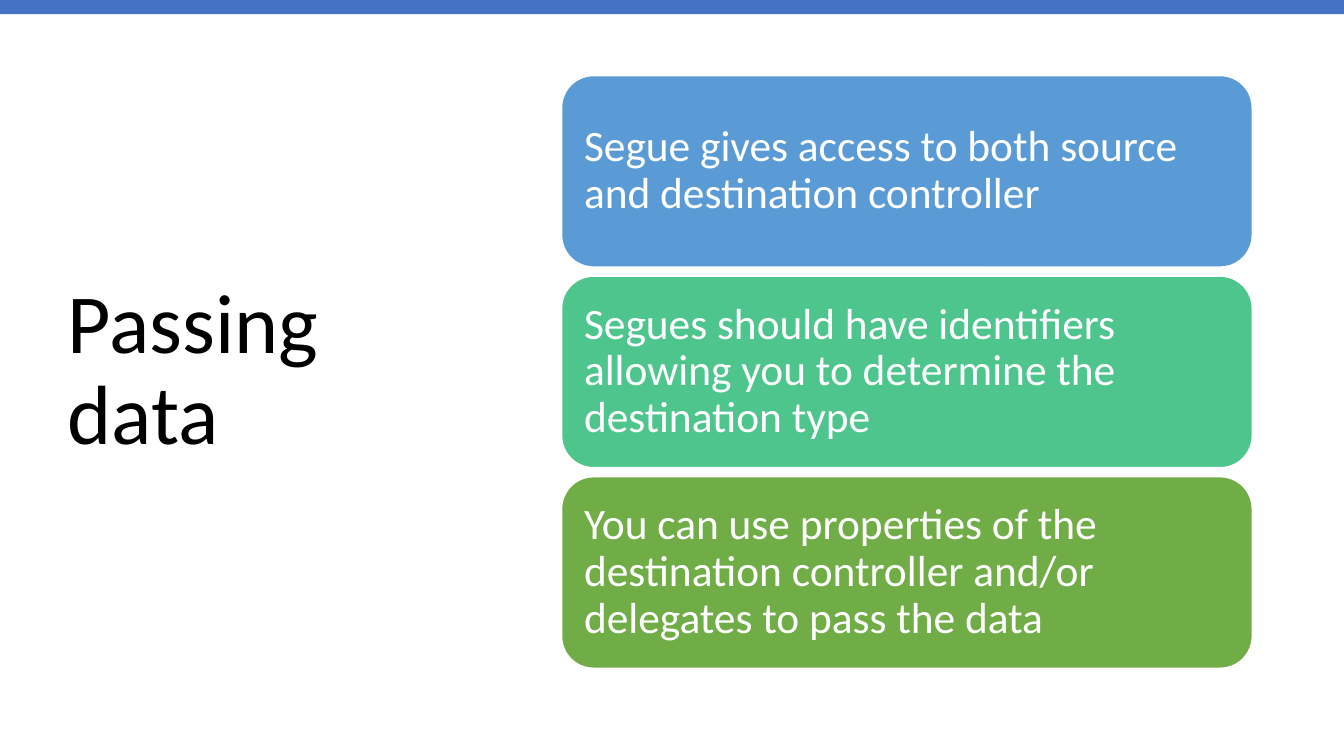
"""Build the "Passing data" slide: a title beside three stacked cards."""
from dataclasses import dataclass

from pptx import Presentation
from pptx import util as u
from pptx.dml import color
from pptx.enum import shapes, text


@dataclass(frozen=True)
class Theme:
    font: str = "Calibri"
    title_size: int = 60
    card_size: int = 31
    black: str = "000000"
    white: str = "FFFFFF"
    bar: str = "4472C4"
    cards: tuple = ("5B9BD5", "4DC58D", "70AD47")


theme = Theme()


def add_block(kind, left, top, width, height, fill):
    block = page.shapes.add_shape(
        kind, u.Inches(left), u.Inches(top), u.Inches(width), u.Inches(height))
    block.shadow.inherit = False
    block.fill.solid()
    block.fill.fore_color.rgb = color.RGBColor.from_string(fill)
    block.line.fill.background()
    return block


def set_text(box, wording, size, ink):
    frame = box.text_frame
    frame.text = wording
    frame.word_wrap = True
    frame.auto_size = text.MSO_AUTO_SIZE.NONE
    frame.vertical_anchor = text.MSO_ANCHOR.MIDDLE
    para = frame.paragraphs[0]
    para.alignment = text.PP_ALIGN.LEFT
    para.line_spacing = 0.9
    para.font.name = theme.font
    para.font.size = u.Pt(size)
    para.font.color.rgb = color.RGBColor.from_string(ink)


deck = Presentation()
deck.slide_width = u.Inches(13.33)
deck.slide_height = u.Inches(7.5)
page = deck.slides.add_slide(deck.slide_layouts.get_by_name("Title Only"))

title = page.shapes.title
title.left, title.top = u.Inches(0.57), u.Inches(0.68)
title.width, title.height = u.Inches(4.16), u.Inches(6.02)
set_text(title, "Passing data", theme.title_size, theme.black)

add_block(shapes.MSO_SHAPE.RECTANGLE, 0, 0, 13.33, 0.14, theme.bar)

statements = (
    "Segue gives access to both source and destination controller",
    "Segues should have identifiers allowing you to determine the destination type",
    "You can use properties of the destination controller and/or delegates to pass the data",
)
first_top, card_pitch, card_inset = 0.75, 1.99, u.Inches(0.13)

for index, (statement, fill) in enumerate(zip(statements, theme.cards)):
    card = add_block(shapes.MSO_SHAPE.ROUNDED_RECTANGLE,
                     5.57, first_top + index * card_pitch, 6.85, 1.9, fill)
    card.line.color.rgb = color.RGBColor.from_string(theme.white)
    card.line.width = u.Pt(1)
    set_text(card, statement, theme.card_size, theme.white)
    frame = card.text_frame
    frame.margin_left = frame.margin_right = card_inset
    frame.margin_top = frame.margin_bottom = card_inset

deck.save("out.pptx")
